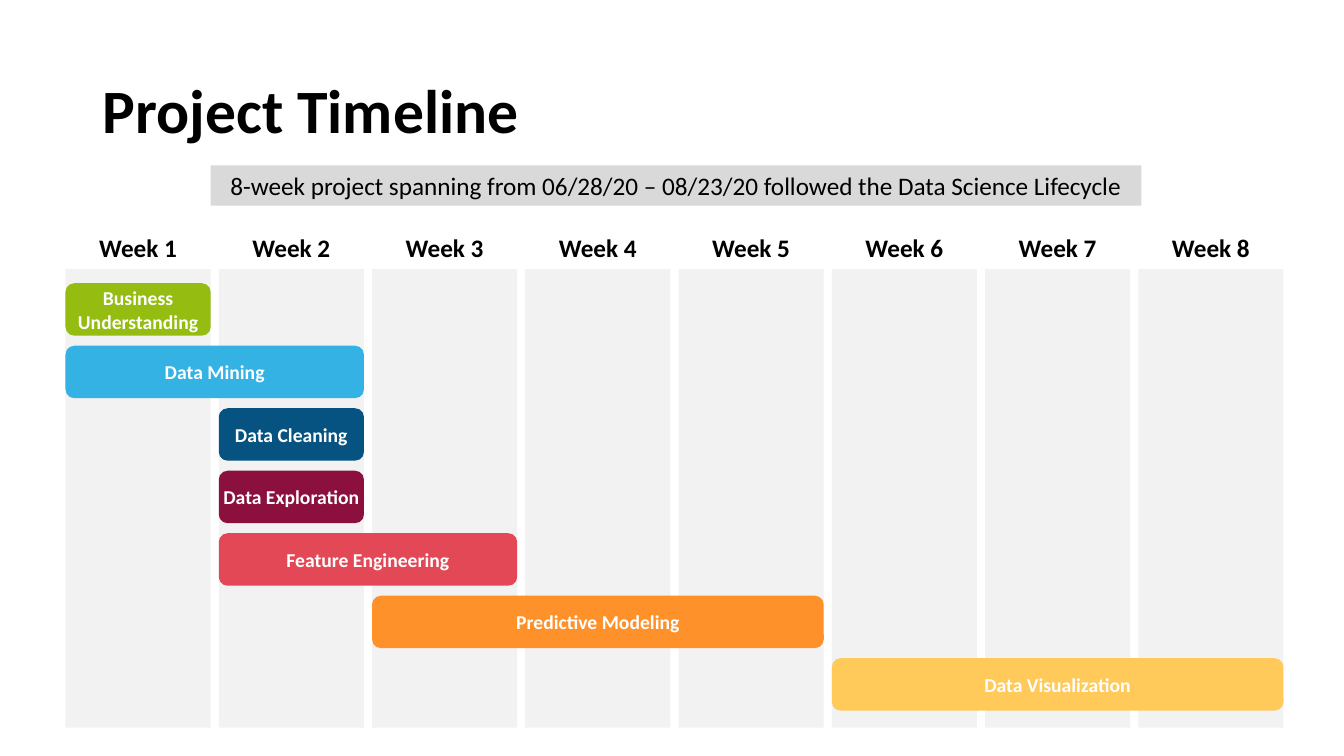
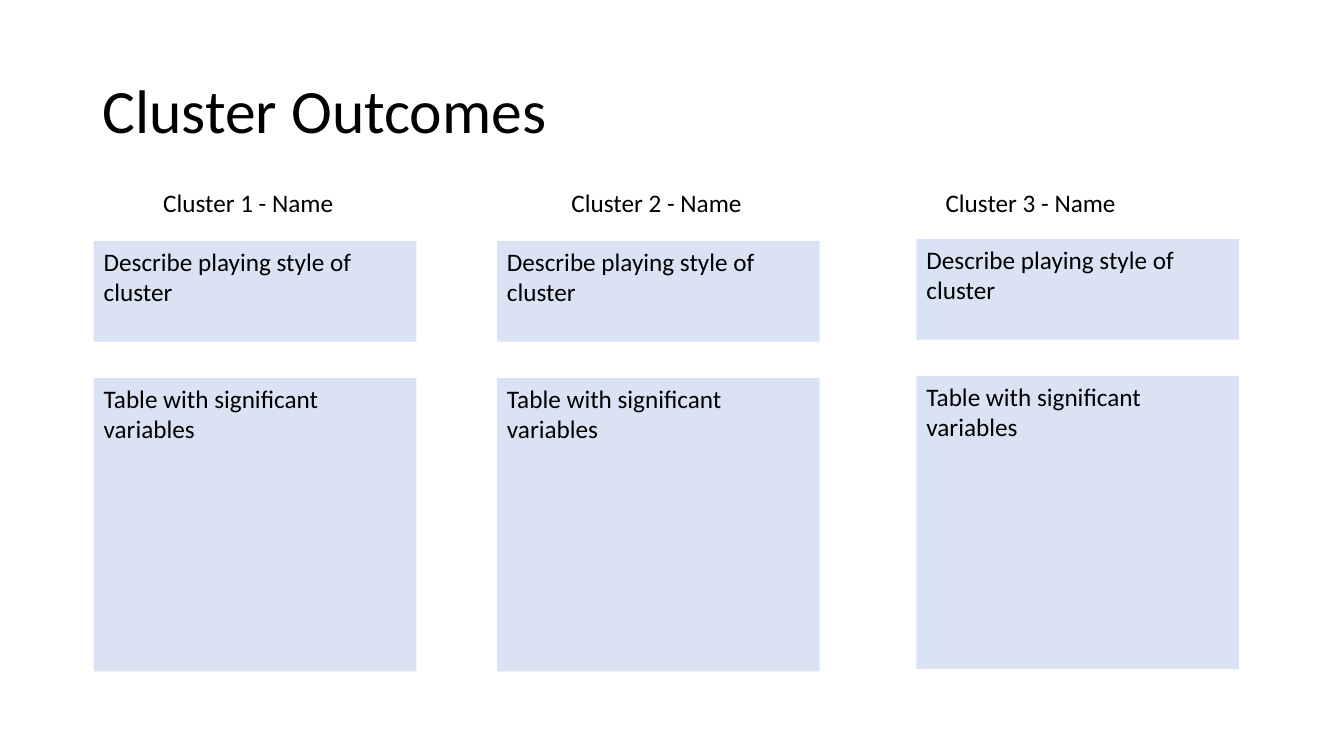
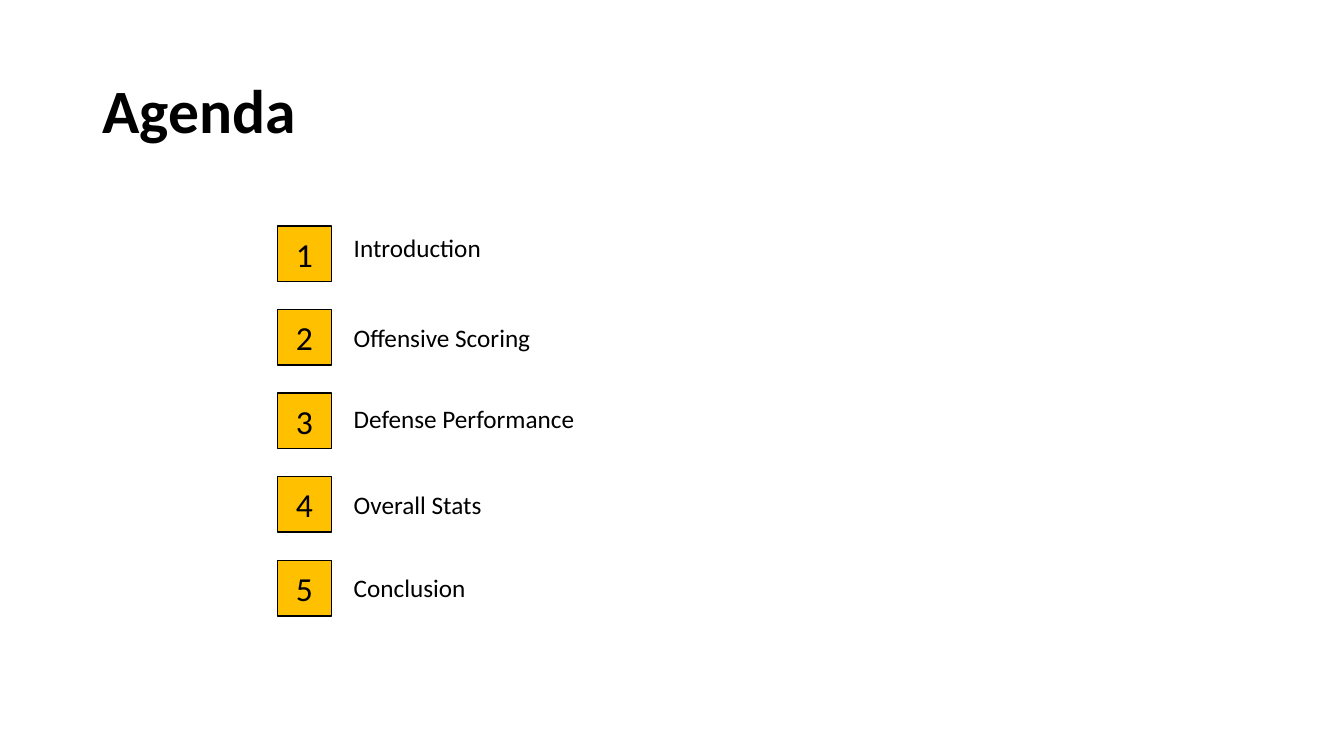
from dataclasses import dataclass

from pptx import Presentation
from pptx.dml.color import RGBColor
from pptx.enum.shapes import MSO_SHAPE as Preset
from pptx.enum.text import MSO_ANCHOR as Anchor, PP_ALIGN as Align
from pptx.util import Inches, Pt


@dataclass(frozen=True)
class Theme:
    font: str = "Calibri"
    ink: str = "000000"
    white: str = "FFFFFF"
    banner: str = "D9D9D9"
    week_column: str = "F2F2F2"
    cluster_panel: str = "DAE3F3"
    agenda_number: str = "FFC000"
    title_size: int = 44
    number_size: int = 24
    body_size: int = 18
    bar_size: int = 14


THEME = Theme()

WEEK_COUNT = 8
WEEK_LEFT, WEEK_WIDTH, WEEK_PITCH = 0.65, 1.44, 1.52
BAR_TOP, BAR_HEIGHT, BAR_PITCH = 2.81, 0.52, 0.62

# Name, first week, last week, colour
PHASES = [
    ("Business Understanding", 1, 1, "95BC11"),
    ("Data Mining", 1, 2, "34B2E4"),
    ("Data Cleaning", 2, 2, "065381"),
    ("Data Exploration", 2, 2, "8B103D"),
    ("Feature Engineering", 2, 3, "E34856"),
    ("Predictive Modeling", 3, 5, "FE912A"),
    ("Data Visualization", 6, 8, "FFCA5A"),
]

# Panel left, panel top, heading left
CLUSTERS = [(0.93, 2.39, 1.52), (4.93, 2.39, 5.57), (9.09, 2.37, 9.28)]

# Topic, label top
AGENDA = [
    ("Introduction", 2.26),
    ("Offensive Scoring", 3.15),
    ("Defense Performance", 3.95),
    ("Overall Stats", 4.81),
    ("Conclusion", 5.63),
]


def write_text(shape, text, size=THEME.body_size, color=THEME.ink, bold=False,
               align=Align.LEFT, anchor=Anchor.TOP):
    frame = shape.text_frame
    frame.word_wrap = True
    frame.vertical_anchor = anchor
    frame.text = text
    paragraph = frame.paragraphs[0]
    paragraph.alignment = align
    for run in paragraph.runs:
        run.font.name = THEME.font
        run.font.size = Pt(size)
        run.font.bold = bold
        run.font.color.rgb = RGBColor.from_string(color)


def add_label(slide, left, top, width, text, height=0.4, **style):
    label = slide.shapes.add_textbox(
        Inches(left), Inches(top), Inches(width), Inches(height))
    write_text(label, text, **style)
    return label


def add_block(slide, left, top, width, height, fill, preset=Preset.RECTANGLE):
    block = slide.shapes.add_shape(
        preset, Inches(left), Inches(top), Inches(width), Inches(height))
    block.shadow.inherit = False
    block.fill.solid()
    block.fill.fore_color.rgb = RGBColor.from_string(fill)
    block.line.fill.background()
    return block


def add_titled_slide(presentation, title, bold=True):
    slide = presentation.slides.add_slide(presentation.slide_layouts[6])
    label = add_label(slide, 0.92, 0.4, 11.5, title, height=1.45,
                      size=THEME.title_size, bold=bold, anchor=Anchor.MIDDLE)
    label.text_frame.paragraphs[0].line_spacing = 0.9
    return slide


def week_left(week):
    return WEEK_LEFT + (week - 1) * WEEK_PITCH


def add_phase_bar(slide, row, name, first_week, last_week, color):
    width = (last_week - first_week) * WEEK_PITCH + WEEK_WIDTH
    bar = add_block(slide, week_left(first_week), BAR_TOP + row * BAR_PITCH,
                    width, BAR_HEIGHT, color, Preset.ROUNDED_RECTANGLE)
    frame = bar.text_frame
    frame.margin_left = frame.margin_right = 0
    frame.margin_top = frame.margin_bottom = 0
    write_text(bar, name, size=THEME.bar_size, color=THEME.white, bold=True,
               align=Align.CENTER, anchor=Anchor.MIDDLE)


def build_timeline(presentation):
    slide = add_titled_slide(presentation, "Project Timeline")
    for week in range(1, WEEK_COUNT + 1):
        left = week_left(week)
        add_block(slide, left, 2.67, WEEK_WIDTH, 4.55, THEME.week_column)
        add_label(slide, left, 2.26, WEEK_WIDTH, f"Week {week}",
                  bold=True, align=Align.CENTER)
    for row, phase in enumerate(PHASES):
        add_phase_bar(slide, row, *phase)
    banner = add_block(slide, 2.09, 1.64, 9.23, 0.4, THEME.banner)
    write_text(banner, "8-week project spanning from 06/28/20 – 08/23/20 "
               "followed the Data Science Lifecycle",
               align=Align.CENTER, anchor=Anchor.MIDDLE)


def build_clusters(presentation):
    slide = add_titled_slide(presentation, "Cluster Outcomes", bold=False)
    for number, (left, top, heading_left) in enumerate(CLUSTERS, start=1):
        add_label(slide, heading_left, 1.81, 2.2, f"Cluster {number} - Name")
        style_panel = add_block(slide, left, top, 3.2, 1, THEME.cluster_panel)
        write_text(style_panel, "Describe playing style of cluster")
        table_panel = add_block(slide, left, top + 1.36, 3.2, 2.91,
                                THEME.cluster_panel)
        write_text(table_panel, "Table with significant variables")


def build_agenda(presentation):
    slide = add_titled_slide(presentation, "Agenda")
    for index, (topic, label_top) in enumerate(AGENDA):
        square = add_block(slide, 2.75, 2.24 + index * 0.83, 0.54, 0.55,
                           THEME.agenda_number)
        square.line.color.rgb = RGBColor.from_string(THEME.ink)
        square.line.width = Pt(1)
        write_text(square, str(index + 1), size=THEME.number_size,
                   align=Align.CENTER, anchor=Anchor.MIDDLE)
        add_label(slide, 3.41, label_top, 2.68, topic)


def main():
    presentation = Presentation()
    presentation.slide_width = Inches(13.33)
    presentation.slide_height = Inches(7.5)
    build_timeline(presentation)
    build_clusters(presentation)
    build_agenda(presentation)
    presentation.save("out.pptx")


if __name__ == "__main__":
    main()
